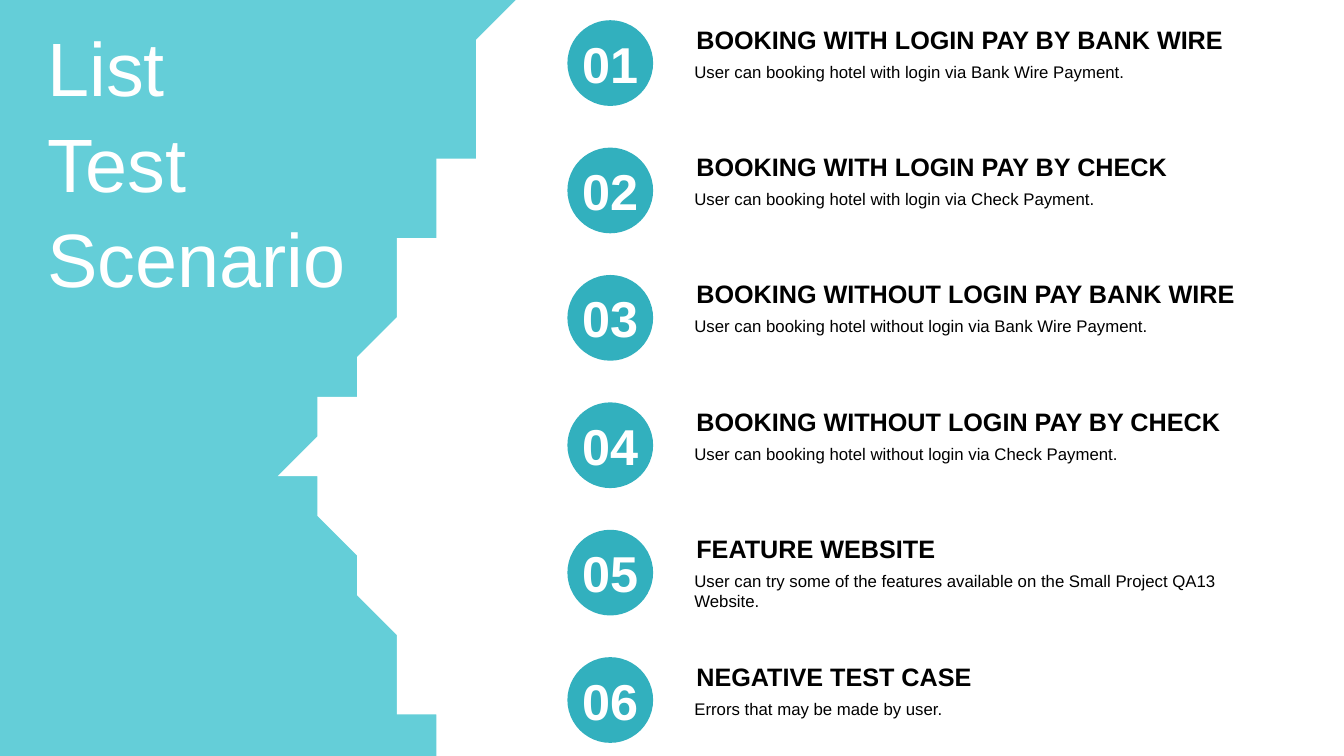
from dataclasses import dataclass

from pptx import Presentation
from pptx.dml.color import RGBColor
from pptx.enum.shapes import MSO_SHAPE
from pptx.enum.text import MSO_ANCHOR, PP_ALIGN
from pptx.util import Cm, Pt


@dataclass(frozen=True)
class Theme:
    font: str = "Arial"
    backdrop: str = "64CED8"
    panel: str = "FFFFFF"
    badge: str = "32B0BE"
    light: str = "FFFFFF"
    dark: str = "000000"
    title_size: int = 54
    number_size: int = 36
    heading_size: int = 18
    detail_size: int = 12


SCENARIOS = [
    ("BOOKING WITH LOGIN PAY BY BANK WIRE",
     "User can booking hotel with login via Bank Wire Payment."),
    ("BOOKING WITH LOGIN PAY BY CHECK",
     "User can booking hotel with login via Check Payment."),
    ("BOOKING WITHOUT LOGIN PAY BANK WIRE",
     "User can booking hotel without login via Bank Wire Payment."),
    ("BOOKING WITHOUT LOGIN PAY BY CHECK",
     "User can booking hotel without login via Check Payment."),
    ("FEATURE WEBSITE",
     "User can try some of the features available on the Small Project QA13 Website."),
    ("NEGATIVE TEST CASE",
     "Errors that may be made by user."),
]
ROW_TOP = 0.51
ROW_PITCH = 3.21
BADGE_LEFT = 14.3
BADGE_SIZE = 2.16
TEXT_LEFT = 17.25
TEXT_WIDTH = 14.22

PANEL_START = (12.52, 0)
PANEL_CORNERS = [(33.87, 0), (33.87, 23.7), (12.42, 23.7), (12.27, 23.11)]
PANEL_CURVES = [
    [(12.27, 23.11), (11.15, 18.69), (9.55, 15.04), (7.32, 11.71)],
    [(7.32, 11.71), (9.47, 9.12), (11.1, 5.44), (12.32, 0.89)],
]


def curve_points(controls, steps=40):
    for step in range(1, steps + 1):
        t = step / steps
        weights = ((1 - t) ** 3, 3 * t * (1 - t) ** 2, 3 * t * t * (1 - t), t ** 3)
        yield tuple(
            sum(weight * point[axis] for weight, point in zip(weights, controls))
            for axis in (0, 1)
        )


class SlideBuilder:
    def __init__(self, page, theme):
        self.page = page
        self.theme = theme

    def background(self):
        fill = self.page.background.fill
        fill.solid()
        fill.fore_color.rgb = RGBColor.from_string(self.theme.backdrop)

    def paint(self, shape, color):
        shape.shadow.inherit = False
        shape.fill.solid()
        shape.fill.fore_color.rgb = RGBColor.from_string(color)
        shape.line.fill.background()

    def set_text(self, frame, text, size, color, bold=False, align=PP_ALIGN.LEFT):
        frame.text = text
        for para in frame.paragraphs:
            para.alignment = align
            for span in para.runs:
                span.font.name = self.theme.font
                span.font.size = Pt(size)
                span.font.bold = bold
                span.font.color.rgb = RGBColor.from_string(color)

    def panel(self, start, corners, curves):
        points = corners + [point for curve in curves for point in curve_points(curve)]
        builder = self.page.shapes.build_freeform(*start, scale=Cm(1))
        builder.add_line_segments(points, close=True)
        self.paint(builder.convert_to_shape(), self.theme.panel)

    def title(self, text, left, top, width, height):
        box = self.page.shapes.title
        box.left, box.top, box.width, box.height = map(Cm, (left, top, width, height))
        frame = box.text_frame
        frame.word_wrap = True
        frame.vertical_anchor = MSO_ANCHOR.BOTTOM
        self.set_text(frame, text, self.theme.title_size, self.theme.light)
        for para in frame.paragraphs:
            para.line_spacing = 1.05
            para.space_before = Pt(0)

    def badge(self, group, number, top):
        circle = group.shapes.add_shape(
            MSO_SHAPE.OVAL, Cm(BADGE_LEFT), Cm(top), Cm(BADGE_SIZE), Cm(BADGE_SIZE))
        self.paint(circle, self.theme.badge)
        frame = circle.text_frame
        frame.word_wrap = False
        frame.vertical_anchor = MSO_ANCHOR.MIDDLE
        self.set_text(frame, f"{number:02d}", self.theme.number_size,
                      self.theme.light, True, PP_ALIGN.CENTER)

    def label(self, group, text, top, height, size, inset, bold=False):
        box = group.shapes.add_textbox(
            Cm(TEXT_LEFT), Cm(top), Cm(TEXT_WIDTH), Cm(height))
        frame = box.text_frame
        frame.word_wrap = True
        frame.margin_left = frame.margin_right = Cm(inset)
        self.set_text(frame, text, size, self.theme.dark, bold)

    def scenario(self, number, heading, detail, top):
        group = self.page.shapes.add_group_shape()
        self.badge(group, number, top)
        self.label(group, heading, top - 0.03, 1.02, self.theme.heading_size, 0.3, True)
        self.label(group, detail, top + 0.91, 0.76, self.theme.detail_size, 0.25)


def main():
    deck = Presentation()
    deck.slide_width, deck.slide_height = Cm(33.87), Cm(19.05)
    page = deck.slides.add_slide(deck.slide_layouts[5])
    slide = SlideBuilder(page, Theme())
    slide.background()
    slide.panel(PANEL_START, PANEL_CORNERS, PANEL_CURVES)
    slide.title("List\nTest\nScenario", 0.94, 0.56, 9.7, 7.19)
    for index, (heading, detail) in enumerate(SCENARIOS):
        slide.scenario(index + 1, heading, detail, ROW_TOP + index * ROW_PITCH)
    deck.save("out.pptx")


if __name__ == "__main__":
    main()
